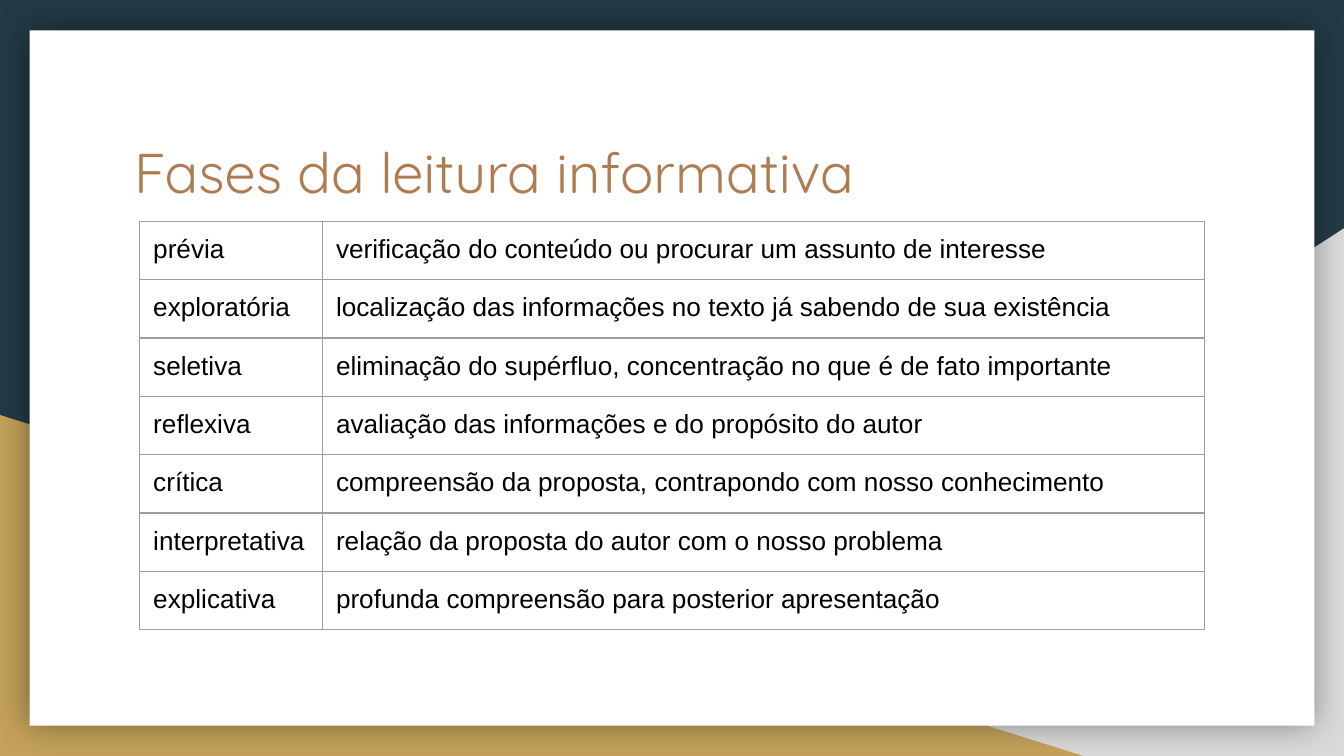
from dataclasses import dataclass

from lxml.etree import SubElement
from pptx import Presentation
from pptx.dml.color import RGBColor
from pptx.enum.shapes import MSO_SHAPE
from pptx.enum.text import MSO_ANCHOR
from pptx.oxml.ns import qn
from pptx.util import Inches, Pt

WIDE, HIGH = Inches(10), Inches(5.625)
INSET = Inches(0.1)
COLORS = {
    "back": "233A44",
    "gray": "D9D9D9",
    "gold": "C4A15A",
    "card": "FFFFFF",
    "title": "AF7B51",
    "text": "000000",
    "line": "9E9E9E",
    "shade": "000000",
}


@dataclass(frozen=True)
class Panel:
    kind: MSO_SHAPE
    left: float
    top: float
    width: float
    height: float
    color: str
    flip: bool = False
    shade: bool = False


@dataclass(frozen=True)
class Phase:
    name: str
    gist: str


PANELS = [
    Panel(MSO_SHAPE.RIGHT_TRIANGLE, 0.392, 0.302, 0.608, 0.698, "gray", flip=True),
    Panel(MSO_SHAPE.RIGHT_TRIANGLE, 0, 0.549, 0.806, 0.451, "gold"),
    Panel(MSO_SHAPE.RECTANGLE, 0.022, 0.04, 0.956, 0.92, "card", shade=True),
]
PHASES = [
    Phase("prévia", "verificação do conteúdo ou procurar um assunto de interesse"),
    Phase("exploratória", "localização das informações no texto já sabendo de sua existência"),
    Phase("seletiva", "eliminação do supérfluo, concentração no que é de fato importante"),
    Phase("reflexiva", "avaliação das informações e do propósito do autor"),
    Phase("crítica", "compreensão da proposta, contrapondo com nosso conhecimento"),
    Phase("interpretativa", "relação da proposta do autor com o nosso problema"),
    Phase("explicativa", "profunda compreensão para posterior apresentação"),
]


def tint(name: str) -> RGBColor:
    return RGBColor.from_string(COLORS[name])


def place(left: float, top: float, width: float, height: float) -> tuple[int, ...]:
    return int(left * WIDE), int(top * HIGH), int(width * WIDE), int(height * HIGH)


def set_text(frame, text: str, font: str, size: int, color: str) -> None:
    frame.text = text
    frame.word_wrap = True
    for run in frame.paragraphs[0].runs:
        run.font.name = font
        run.font.size = Pt(size)
        run.font.color.rgb = tint(color)


def add_shade(shape) -> None:
    effects = shape._element.spPr.find(qn("a:effectLst"))
    shadow = SubElement(effects, qn("a:outerShdw"), blurRad=str(Pt(18)), dist="0", dir="0", rotWithShape="0")
    color = SubElement(shadow, qn("a:srgbClr"), val=COLORS["shade"])
    SubElement(color, qn("a:alpha"), val="40000")


def add_panel(slide, panel: Panel) -> None:
    spot = place(panel.left, panel.top, panel.width, panel.height)
    shape = slide.shapes.add_shape(panel.kind, *spot)
    shape.shadow.inherit = False
    shape.fill.solid()
    shape.fill.fore_color.rgb = tint(panel.color)
    shape.line.fill.background()
    if panel.flip:
        shape._element.spPr.xfrm.set("flipH", "1")
    if panel.shade:
        add_shade(shape)


def add_title(slide, text: str) -> None:
    box = slide.shapes.add_textbox(*place(0.09, 0.164, 0.821, 0.185))
    frame = box.text_frame
    set_text(frame, text, "Quicksand", 30, "title")
    frame.vertical_anchor = MSO_ANCHOR.TOP
    frame.margin_left = frame.margin_right = INSET
    frame.margin_top = frame.margin_bottom = INSET


def set_cell(cell, text: str) -> None:
    set_text(cell.text_frame, text, "Arial", 14, "text")
    cell.margin_left = cell.margin_right = INSET
    cell.margin_top = cell.margin_bottom = INSET
    props = cell._tc.get_or_add_tcPr()
    for side in ("lnL", "lnR", "lnT", "lnB"):
        line = SubElement(props, qn(f"a:{side}"), w=str(Pt(0.75)))
        fill = SubElement(line, qn("a:solidFill"))
        SubElement(fill, qn("a:srgbClr"), val=COLORS["line"])
    cell.fill.background()


def add_phases(slide, phases: list[Phase]) -> None:
    spot = place(0.104, 0.293, 0.792, 0.0743 * len(phases))
    table = slide.shapes.add_table(len(phases), 2, *spot).table
    table.first_row = table.horz_banding = False
    for column, share in zip(table.columns, (0.136, 0.656)):
        column.width = int(share * WIDE)
    for row, phase in zip(table.rows, phases):
        for cell, text in zip(row.cells, (phase.name, phase.gist)):
            set_cell(cell, text)


def main() -> None:
    deck = Presentation()
    deck.slide_width, deck.slide_height = WIDE, HIGH
    slide = deck.slides.add_slide(deck.slide_layouts[6])
    slide.background.fill.solid()
    slide.background.fill.fore_color.rgb = tint("back")
    for panel in PANELS:
        add_panel(slide, panel)
    add_title(slide, "Fases da leitura informativa")
    add_phases(slide, PHASES)
    deck.save("out.pptx")


if __name__ == "__main__":
    main()
